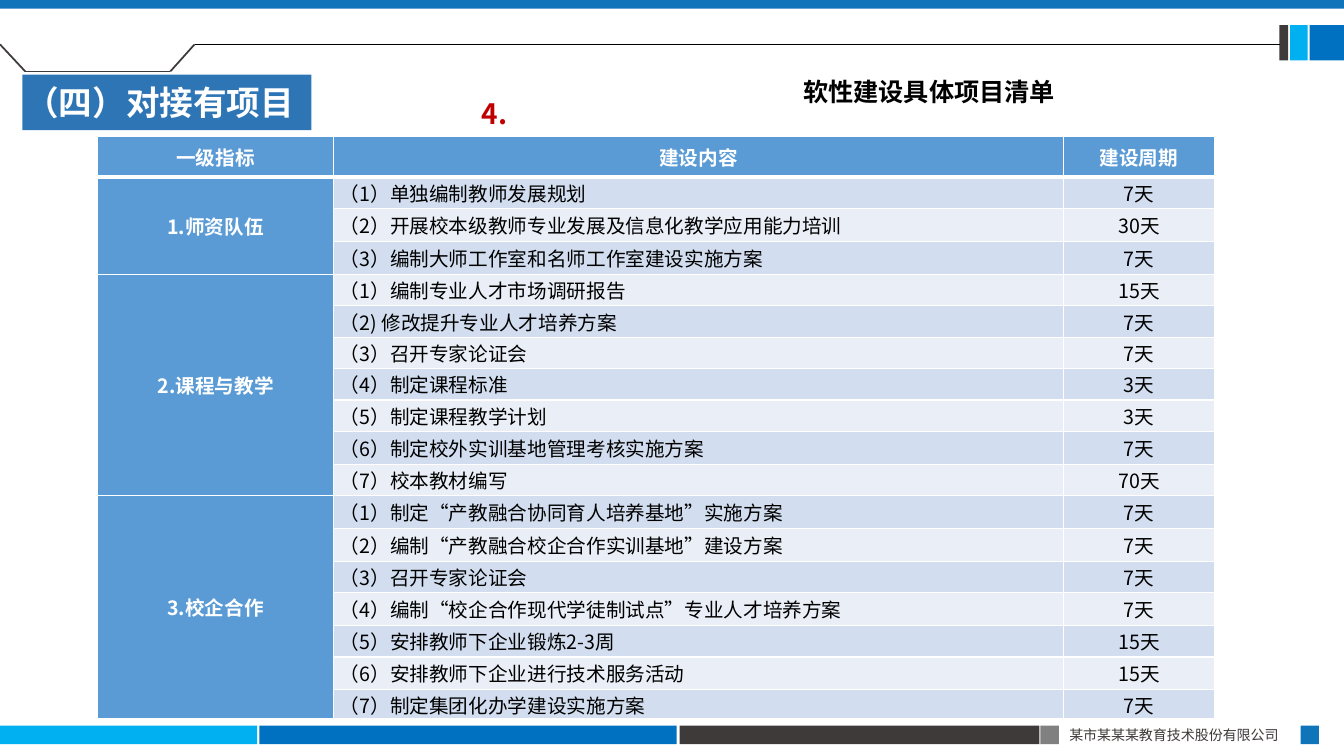
import dataclasses
import itertools

import pptx
import pptx.dml.color
import pptx.enum.shapes
import pptx.enum.text
import pptx.oxml
import pptx.oxml.ns
import pptx.util

Pt = pptx.util.Pt
RGBColor = pptx.dml.color.RGBColor
Align = pptx.enum.text.PP_ALIGN
Anchor = pptx.enum.text.MSO_ANCHOR

FONT = "Noto Sans CJK SC"
WHITE = RGBColor(0xFF, 0xFF, 0xFF)
BLACK = RGBColor(0x00, 0x00, 0x00)
CHARCOAL = RGBColor(0x3E, 0x3A, 0x39)
GRAY = RGBColor(0x80, 0x80, 0x80)
CYAN = RGBColor(0x00, 0xB0, 0xF0)
BLUE = RGBColor(0x00, 0x70, 0xC0)
DEEP_BLUE = RGBColor(0x10, 0x74, 0xBB)
TITLE_BLUE = RGBColor(0x2E, 0x75, 0xB6)
HEADER_BLUE = RGBColor(0x5B, 0x9B, 0xD5)
BAND_DARK = RGBColor(0xD2, 0xDE, 0xEF)
BAND_LIGHT = RGBColor(0xEA, 0xEF, 0xF7)
RED = RGBColor(0xC0, 0x00, 0x00)


@dataclasses.dataclass(frozen=True)
class Bar:
    left: float
    top: float
    width: float
    height: float
    color: RGBColor


@dataclasses.dataclass(frozen=True)
class Label:
    text: str
    left: float
    top: float
    width: float
    height: float
    size: float
    color: RGBColor
    bold: bool = True


@dataclasses.dataclass(frozen=True)
class Task:
    content: str
    period: str
    height: float


@dataclasses.dataclass(frozen=True)
class Indicator:
    name: str
    tasks: tuple[Task, ...]


FOOTER_TOP, FOOTER_HEIGHT = 518.4, 13.2
MARK_TOP, MARK_HEIGHT = 18, 25.2
BARS = (
    Bar(0, 0, 960, 6.3, DEEP_BLUE),
    Bar(0, FOOTER_TOP, 183.8, FOOTER_HEIGHT, CYAN),
    Bar(185.3, FOOTER_TOP, 298, FOOTER_HEIGHT, BLUE),
    Bar(485.4, FOOTER_TOP, 257, FOOTER_HEIGHT, CHARCOAL),
    Bar(743.2, FOOTER_TOP, 13.2, FOOTER_HEIGHT, GRAY),
    Bar(929, FOOTER_TOP, 13.2, FOOTER_HEIGHT, DEEP_BLUE),
    Bar(935.5, MARK_TOP, 24.5, MARK_HEIGHT, BLUE),
    Bar(921.6, MARK_TOP, 12.4, MARK_HEIGHT, CYAN),
    Bar(913.8, MARK_TOP, 6.4, MARK_HEIGHT, CHARCOAL),
)
TAB_OUTLINE = ((0, 31.7), (18, 51), (121.7, 51), (139, 31.7))
RULE = ((139, 31.7), (914.4, 31.7))
LABELS = (
    Label("4.", 337, 65.5, 219.6, 31.5, 20, RED),
    Label("软性建设具体项目清单", 566.6, 51.1, 196.6, 29, 18, BLACK),
    Label("某市某某某教育技术股份有限公司", 756.7, 515.5, 172.8, 19.4, 10, CHARCOAL, False),
)

TABLE_LEFT, TABLE_TOP = 69.8, 97.2
COLUMN_WIDTHS = (168.5, 521.3, 108)
HEADINGS = ("一级指标", "建设内容", "建设周期")
HEADER_HEIGHT = 29.5
LOW, MEDIUM, HIGH = 20.9, 22.4, 23.5
INDICATORS = (
    Indicator("1.师资队伍", (
        Task("（1）单独编制教师发展规划", "7天", MEDIUM),
        Task("（2）开展校本级教师专业发展及信息化教学应用能力培训", "30天", HIGH),
        Task("（3）编制大师工作室和名师工作室建设实施方案", "7天", HIGH),
    )),
    Indicator("2.课程与教学", (
        Task("（1）编制专业人才市场调研报告", "15天", MEDIUM),
        Task("（2) 修改提升专业人才培养方案", "7天", MEDIUM),
        Task("（3）召开专家论证会", "7天", MEDIUM),
        Task("（4）制定课程标准", "3天", MEDIUM),
        Task("（5）制定课程教学计划", "3天", MEDIUM),
        Task("（6）制定校外实训基地管理考核实施方案", "7天", HIGH),
        Task("（7）校本教材编写", "70天", MEDIUM),
    )),
    Indicator("3.校企合作", (
        Task("（1）制定“产教融合协同育人培养基地”实施方案", "7天", HIGH),
        Task("（2）编制“产教融合校企合作实训基地”建设方案", "7天", HIGH),
        Task("（3）召开专家论证会", "7天", MEDIUM),
        Task("（4）编制“校企合作现代学徒制试点”专业人才培养方案", "7天", HIGH),
        Task("（5）安排教师下企业锻炼2-3周", "15天", MEDIUM),
        Task("（6）安排教师下企业进行技术服务活动", "15天", HIGH),
        Task("（7）制定集团化办学建设实施方案", "7天", LOW),
    )),
)


def add_run(paragraph, text: str, size: float, color: RGBColor, bold: bool) -> None:
    run = paragraph.add_run()
    run.text = text
    run.font.size = Pt(size)
    run.font.bold = bold
    run.font.color.rgb = color
    run.font.name = FONT
    east_asian = pptx.oxml.parse_xml(
        f'<a:ea {pptx.oxml.ns.nsdecls("a")} typeface="{FONT}"/>')
    run.font._element.find(pptx.oxml.ns.qn("a:latin")).addnext(east_asian)


def place(shape, left: float, top: float, width: float, height: float) -> None:
    shape.left, shape.top = Pt(left), Pt(top)
    shape.width, shape.height = Pt(width), Pt(height)


def add_title(slide) -> None:
    title = slide.shapes.title
    place(title, 16, 53.3, 206.4, 39.6)
    title.fill.solid()
    title.fill.fore_color.rgb = TITLE_BLUE
    frame = title.text_frame
    frame.auto_size = pptx.enum.text.MSO_AUTO_SIZE.NONE
    frame.word_wrap = False
    frame.vertical_anchor = Anchor.MIDDLE
    frame.margin_left = Pt(2)
    frame.margin_right = frame.margin_top = frame.margin_bottom = 0
    paragraph = frame.paragraphs[0]
    paragraph.alignment = Align.LEFT
    add_run(paragraph, "（四）对接有项目", 24, WHITE, True)


def add_bar(slide, bar: Bar) -> None:
    shape = slide.shapes.add_shape(
        pptx.enum.shapes.MSO_SHAPE.RECTANGLE,
        Pt(bar.left), Pt(bar.top), Pt(bar.width), Pt(bar.height))
    shape.shadow.inherit = False
    shape.fill.solid()
    shape.fill.fore_color.rgb = bar.color
    shape.line.fill.background()


def add_line(slide, start: tuple, end: tuple, color: RGBColor, width: float) -> None:
    connector = slide.shapes.add_connector(
        pptx.enum.shapes.MSO_CONNECTOR.STRAIGHT, *map(Pt, start + end))
    connector.line.color.rgb = color
    connector.line.width = Pt(width)
    connector._element.spPr.append(pptx.oxml.parse_xml(
        f'<a:effectLst {pptx.oxml.ns.nsdecls("a")}/>'))


def add_label(slide, label: Label) -> None:
    box = slide.shapes.add_textbox(
        Pt(label.left), Pt(label.top), Pt(label.width), Pt(label.height))
    box.text_frame.word_wrap = False
    add_run(box.text_frame.paragraphs[0], label.text, label.size, label.color, label.bold)


def format_cell(cell, fill: RGBColor, top: float = 1, bottom: float = 1) -> None:
    cell.vertical_anchor = Anchor.MIDDLE
    cell.margin_left = cell.margin_right = Pt(4.5)
    cell.margin_top = cell.margin_bottom = 0
    properties = cell._tc.get_or_add_tcPr()
    for side, width in (("L", 1), ("R", 1), ("T", top), ("B", bottom)):
        properties.append(pptx.oxml.parse_xml(
            f'<a:ln{side} {pptx.oxml.ns.nsdecls("a")} w="{Pt(width)}">'
            f'<a:solidFill><a:srgbClr val="{WHITE}"/></a:solidFill></a:ln{side}>'))
    cell.fill.solid()
    cell.fill.fore_color.rgb = fill


def write_cell(cell, text: str, color: RGBColor, bold: bool, alignment) -> None:
    paragraph = cell.text_frame.paragraphs[0]
    paragraph.alignment = alignment
    add_run(paragraph, text, 14, color, bold)


def add_project_table(slide) -> None:
    tasks = [task for indicator in INDICATORS for task in indicator.tasks]
    heights = [HEADER_HEIGHT] + [task.height for task in tasks]
    table = slide.shapes.add_table(
        len(heights), len(COLUMN_WIDTHS), Pt(TABLE_LEFT), Pt(TABLE_TOP),
        Pt(sum(COLUMN_WIDTHS)), Pt(sum(heights))).table
    table.horz_banding = False
    for column, width in zip(table.columns, COLUMN_WIDTHS):
        column.width = Pt(width)
    for row, height in zip(table.rows, heights):
        row.height = Pt(height)
    for index, heading in enumerate(HEADINGS):
        format_cell(table.cell(0, index), HEADER_BLUE, bottom=3)
        write_cell(table.cell(0, index), heading, WHITE, True, Align.CENTER)
    bands = itertools.cycle((BAND_DARK, BAND_LIGHT))
    for row, (task, band) in enumerate(zip(tasks, bands), start=1):
        for column, fill in enumerate((HEADER_BLUE, band, band)):
            format_cell(table.cell(row, column), fill, top=3 if row == 1 else 1)
        write_cell(table.cell(row, 1), task.content, BLACK, False, Align.LEFT)
        write_cell(table.cell(row, 2), task.period, BLACK, False, Align.CENTER)
    first = 1
    for indicator in INDICATORS:
        last = first + len(indicator.tasks) - 1
        table.cell(first, 0).merge(table.cell(last, 0))
        write_cell(table.cell(first, 0), indicator.name, WHITE, True, Align.CENTER)
        first = last + 1


def main() -> None:
    presentation = pptx.Presentation()
    presentation.slide_width, presentation.slide_height = Pt(960), Pt(540)
    slide = presentation.slides.add_slide(presentation.slide_layouts.get_by_name("Title Only"))
    add_title(slide)
    for bar in BARS:
        add_bar(slide, bar)
    for start, end in itertools.pairwise(TAB_OUTLINE):
        add_line(slide, start, end, CHARCOAL, 1.25)
    add_line(slide, *RULE, BLACK, 0.5)
    add_project_table(slide)
    for label in LABELS:
        add_label(slide, label)
    presentation.save("out.pptx")


if __name__ == "__main__":
    main()
